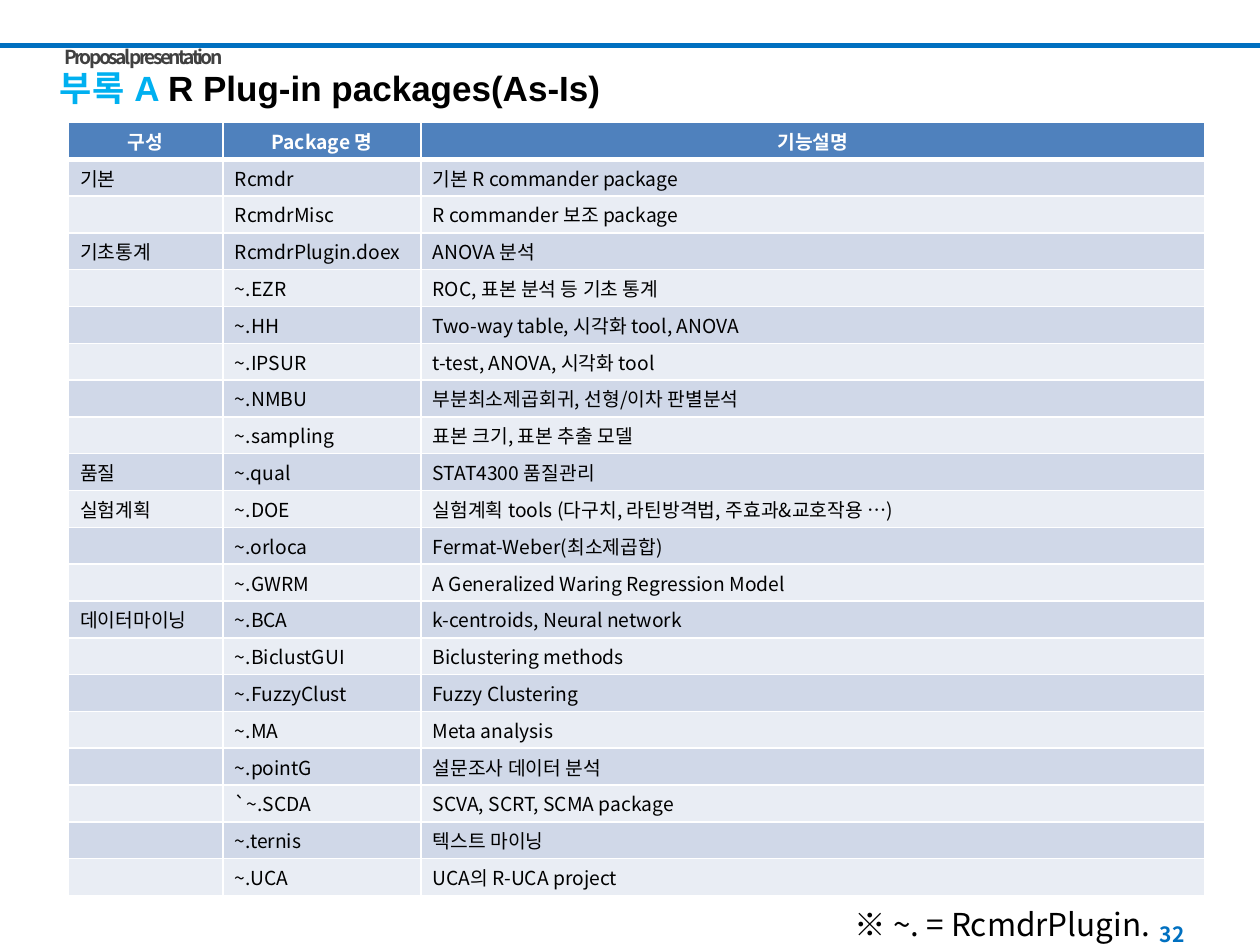
from lxml import etree
from pptx import Presentation
from pptx.dml.color import RGBColor
from pptx.enum import shapes, text
from pptx.oxml.ns import qn
from pptx.util import Pt

COLORS = {"rule": "0070C0", "accent": "00B0F0", "black": "000000", "gray": "404040",
          "white": "FFFFFF", "header": "4F81BD", "odd": "D0D8E8", "even": "E9EDF4"}
SANS = "Noto Sans CJK KR"
HEADERS = ("구성", "Package 명", "기능설명")
GROUPS = {
    "기본": [("Rcmdr", "기본 R commander package"),
           ("RcmdrMisc", "R commander 보조 package")],
    "기초통계": [("RcmdrPlugin.doex", "ANOVA 분석"),
             ("~.EZR", "ROC, 표본 분석 등 기초 통계"),
             ("~.HH", "Two-way table, 시각화 tool, ANOVA"),
             ("~.IPSUR", "t-test, ANOVA, 시각화 tool"),
             ("~.NMBU", "부분최소제곱회귀, 선형/이차 판별분석"),
             ("~.sampling", "표본 크기, 표본 추출 모델")],
    "품질": [("~.qual", "STAT4300 품질관리")],
    "실험계획": [("~.DOE", "실험계획 tools (다구치, 라틴방격법, 주효과&교호작용 …)"),
             ("~.orloca", "Fermat-Weber(최소제곱합)"),
             ("~.GWRM", "A Generalized Waring Regression Model")],
    "데이터마이닝": [("~.BCA", "k-centroids, Neural network"),
               ("~.BiclustGUI", "Biclustering methods"),
               ("~.FuzzyClust", "Fuzzy Clustering"),
               ("~.MA", "Meta analysis"),
               ("~.pointG", "설문조사 데이터 분석"),
               ("`~.SCDA", "SCVA, SCRT, SCMA package"),
               ("~.ternis", "텍스트 마이닝"),
               ("~.UCA", "UCA의 R-UCA project")],
}


def rgb(name):
    """Return the named colour."""
    return RGBColor.from_string(COLORS[name])


def style_font(font, size, color, bold=False, name=SANS):
    """Set size, colour, weight and typeface, for Korean text too."""
    font.size, font.bold, font.name = Pt(size), bold, name
    font.color.rgb = rgb(color)
    ea = etree.Element(qn("a:ea"), typeface=name)
    font._element.find(qn("a:latin")).addnext(ea)


def add_text(slide, box, content, size, color, bold=False, align=text.PP_ALIGN.LEFT,
             anchor=text.MSO_ANCHOR.TOP, spacing=None):
    """Add a one-line text box."""
    sp = slide.shapes.add_textbox(*map(Pt, box))
    tf = sp.text_frame
    tf.word_wrap, tf.vertical_anchor = True, anchor
    p = tf.paragraphs[0]
    p.alignment = align
    r = p.add_run()
    r.text = content
    style_font(r.font, size, color, bold)
    if spacing:
        r.font._element.set("spc", str(int(spacing * 100)))


def add_title(slide, box, parts):
    """Fill the title placeholder with coloured parts."""
    sp = slide.shapes.title
    sp.left, sp.top, sp.width, sp.height = map(Pt, box)
    tf = sp.text_frame
    tf.word_wrap, tf.vertical_anchor = False, text.MSO_ANCHOR.TOP
    tf.auto_size = text.MSO_AUTO_SIZE.NONE
    p = tf.paragraphs[0]
    p.alignment = text.PP_ALIGN.LEFT
    for content, color in parts:
        r = p.add_run()
        r.text = content
        style_font(r.font, 20, color, True, "Arial")


def add_rule(slide, y):
    """Draw the rule across the top of the slide."""
    line = slide.shapes.add_connector(shapes.MSO_CONNECTOR.STRAIGHT,
                                      Pt(-1.5), Pt(y), Pt(721.5), Pt(y))
    line.line.color.rgb, line.line.width = rgb("rule"), Pt(3)
    etree.SubElement(line._element.spPr, qn("a:effectLst"))


def set_borders(cell, top, bottom):
    """Give a cell white borders."""
    tc_pr = cell._tc.get_or_add_tcPr()
    widths = (("lnL", 1), ("lnR", 1), ("lnT", top), ("lnB", bottom))
    for i, (tag, width) in enumerate(widths):
        ln = etree.Element(qn("a:" + tag), w=str(Pt(width)))
        fill = etree.SubElement(ln, qn("a:solidFill"))
        etree.SubElement(fill, qn("a:srgbClr"), val=COLORS["white"])
        tc_pr.insert(i, ln)


def fill_cell(cell, content, row):
    """Write and format one cell of the package table."""
    head = row == 0
    cell.fill.solid()
    cell.fill.fore_color.rgb = rgb("header" if head else "odd" if row % 2 else "even")
    set_borders(cell, 3 if row == 1 else 1, 3 if head else 1)
    cell.margin_left = cell.margin_right = Pt(6.8)
    cell.margin_top = cell.margin_bottom = Pt(2.5)
    p = cell.text_frame.paragraphs[0]
    p.text = content
    p.alignment = text.PP_ALIGN.CENTER if head else text.PP_ALIGN.LEFT
    style_font(p.font, 11, "white" if head else "black", head)
    for r in p.runs:
        style_font(r.font, 11, "white" if head else "black", head)
    if not content:
        end = etree.SubElement(p._p, qn("a:endParaRPr"))
        end.set("sz", "1100")


def add_packages(slide, left, top, widths, row_height):
    """Add the table; each group name shows on its first row only."""
    rows = [HEADERS] + [("" if i else group, *item)
                        for group, items in GROUPS.items() for i, item in enumerate(items)]
    frame = slide.shapes.add_table(len(rows), len(widths), Pt(left), Pt(top),
                                   Pt(sum(widths)), Pt(row_height * len(rows)))
    table = frame.table
    for column, width in zip(table.columns, widths):
        column.width = Pt(width)
    for i, values in enumerate(rows):
        table.rows[i].height = Pt(row_height)
        for j, value in enumerate(values):
            fill_cell(table.cell(i, j), value, i)


def main():
    """Build the slide."""
    prs = Presentation()
    prs.slide_width, prs.slide_height = Pt(720), Pt(540)
    slide = prs.slides.add_slide(prs.slide_layouts[5])
    add_rule(slide, 26)
    add_text(slide, (516, 519, 168, 29), "32", 12, "rule", True,
             text.PP_ALIGN.RIGHT, text.MSO_ANCHOR.MIDDLE)
    add_title(slide, (27, 34.5, 333, 31.5),
              (("부록 A ", "accent"), ("R Plug-in packages(As-Is)", "black")))
    add_text(slide, (29.5, 22.5, 176, 21), "Proposal presentation", 11, "gray", True,
             text.PP_ALIGN.JUSTIFY, spacing=-1.5)
    add_packages(slide, 39, 70, (88.5, 113, 448), 21.05)
    add_text(slide, (481.5, 513.5, 185, 29), "※ ~. = RcmdrPlugin.", 18, "black")
    prs.save("out.pptx")


main()
